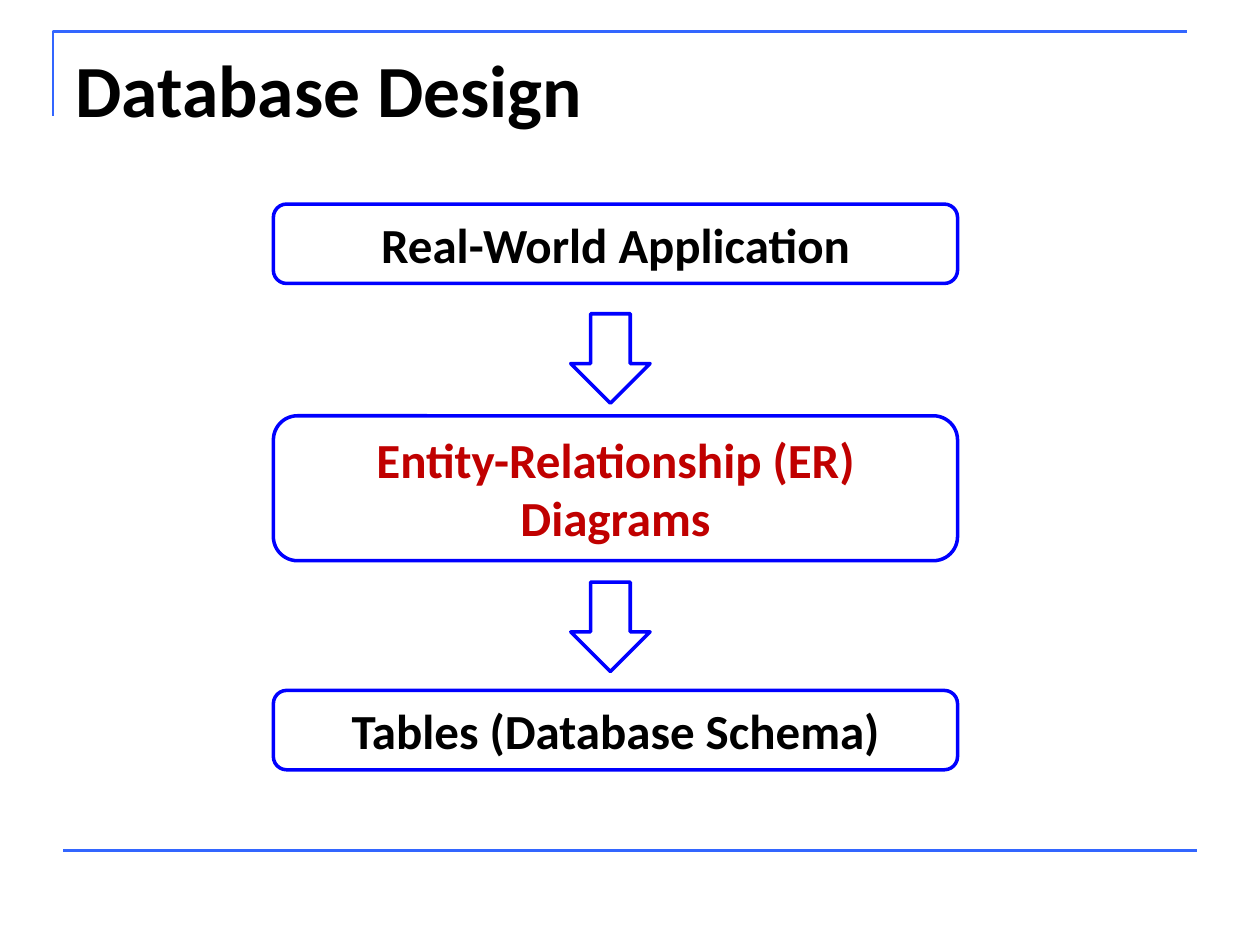
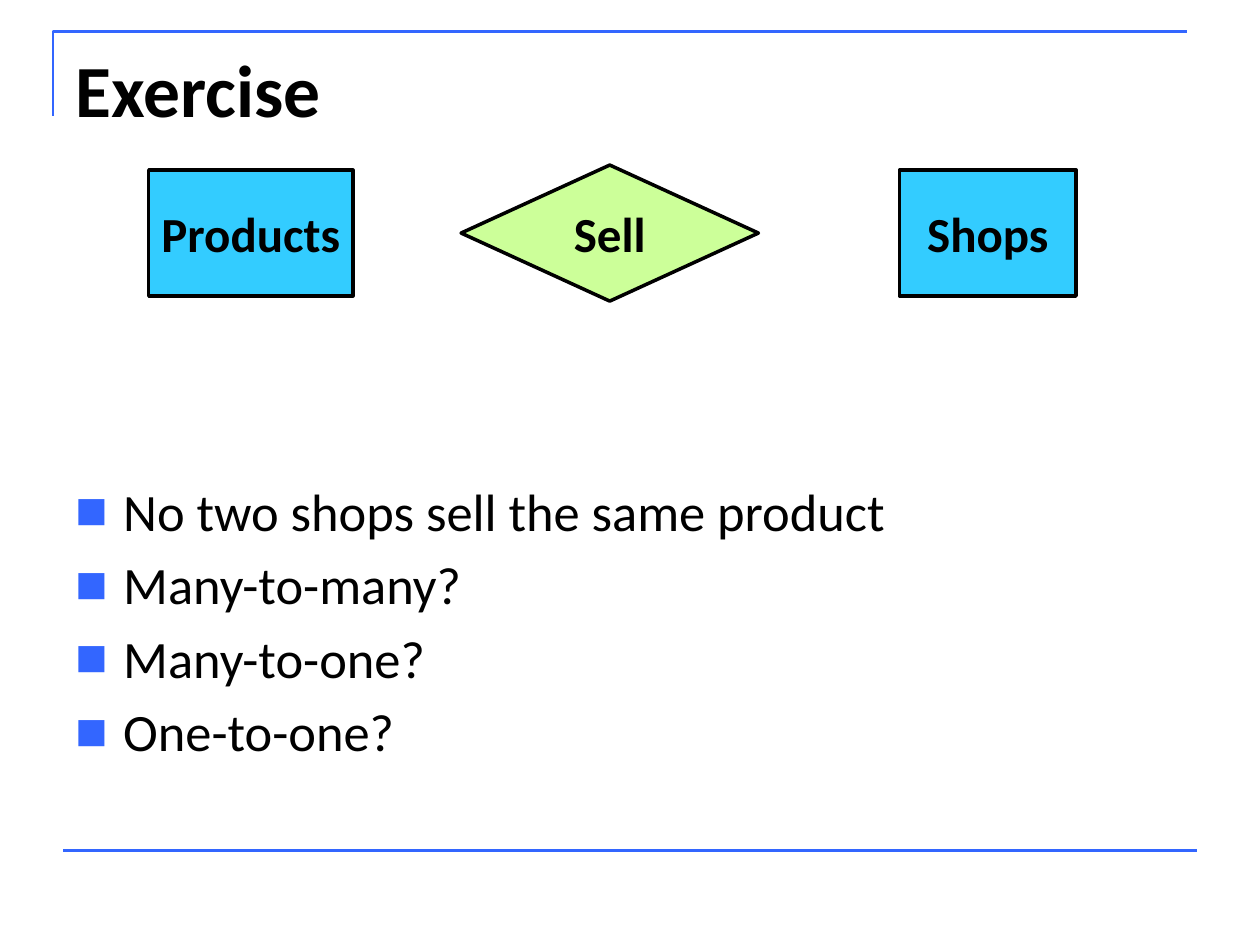
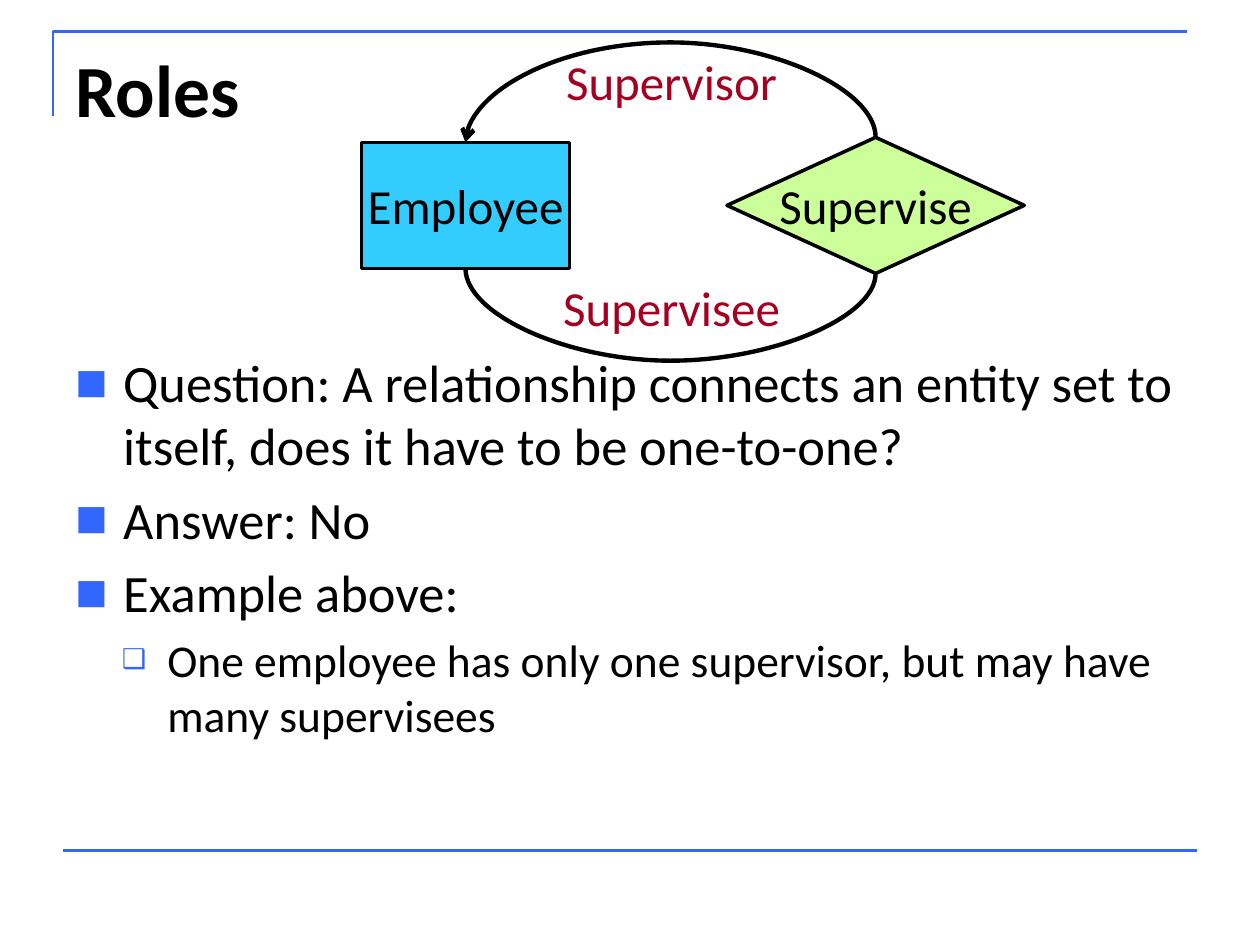
import dataclasses

import lxml.etree
import pptx
import pptx.dml.color
import pptx.enum.shapes
import pptx.enum.text
import pptx.oxml.ns
import pptx.util

Inches = pptx.util.Inches
Pt = pptx.util.Pt
qn = pptx.oxml.ns.qn
Shape = pptx.enum.shapes.MSO_SHAPE
Connector = pptx.enum.shapes.MSO_CONNECTOR
Align = pptx.enum.text.PP_ALIGN
Anchor = pptx.enum.text.MSO_ANCHOR


@dataclasses.dataclass(frozen=True)
class Theme:
    font: str = "Calibri"
    ink: str = "000000"
    paper: str = "FFFFFF"
    frame: str = "3366FF"
    flow_line: str = "0000FF"
    highlight: str = "C00000"
    entity: str = "33CCFF"
    relationship: str = "CCFF99"
    role: str = "A50021"
    title_size: int = 42
    diagram_size: int = 28
    frame_width: float = 1.5
    shape_width: float = 2
    role_width: float = 2.5


@dataclasses.dataclass(frozen=True)
class Box:
    left: float
    top: float
    width: float
    height: float

    def inside(self, left, top, width, height):
        return Box(self.left + left, self.top + top, width, height)

    def lengths(self):
        return [Inches(value) for value in dataclasses.astuple(self)]


@dataclasses.dataclass(frozen=True)
class BulletLevel:
    symbol: str
    symbol_percent: int
    indent: float
    hanging: float
    size: int
    space_before: float


THEME = Theme()
LEVELS = (
    BulletLevel("■", 65, 0.38, 0.38, 30, 6),
    BulletLevel("❑", 60, 0.73, 0.36, 26, 5.2),
)
TITLE_BOX = Box(0.5, 0.3, 9, 1.25)
FRAME_BOX = Box(0.42, 0.25, 9.08, 6.5)
DIAMOND_SIZE = (2.36, 1.08)


def color(value):
    return pptx.dml.color.RGBColor.from_string(value)


def add_run(paragraph, text, size, ink=THEME.ink, bold=False):
    run = paragraph.add_run()
    run.text = text
    run.font.name = THEME.font
    run.font.size = Pt(size)
    run.font.bold = bold
    run.font.color.rgb = color(ink)


def style_line(shape, ink, width):
    shape.line.color.rgb = color(ink)
    shape.line.width = Pt(width)


def remove_connector_shadow(connector):
    lxml.etree.SubElement(connector._element.spPr, qn("a:effectLst"))


def add_figure(slide, kind, box, fill, line):
    """Add an outlined preset shape; a fill of None leaves it hollow."""
    shape = slide.shapes.add_shape(kind, *box.lengths())
    shape.shadow.inherit = False
    if fill:
        shape.fill.solid()
        shape.fill.fore_color.rgb = color(fill)
    else:
        shape.fill.background()
    style_line(shape, line, THEME.shape_width)
    return shape


def write_centered(shape, text, ink=THEME.ink, bold=False, wrap=False, anchor=Anchor.MIDDLE):
    frame = shape.text_frame
    frame.word_wrap = wrap
    frame.vertical_anchor = anchor
    paragraph = frame.paragraphs[0]
    paragraph.alignment = Align.CENTER
    add_run(paragraph, text, THEME.diagram_size, ink, bold)


def add_titled_slide(presentation, layout, title):
    slide = presentation.slides.add_slide(layout)
    shape = slide.shapes.title
    shape.left, shape.top, shape.width, shape.height = TITLE_BOX.lengths()
    frame = shape.text_frame
    frame.auto_size = pptx.enum.text.MSO_AUTO_SIZE.NONE
    frame.vertical_anchor = Anchor.TOP
    paragraph = frame.paragraphs[0]
    paragraph.alignment = Align.LEFT
    add_run(paragraph, title, THEME.title_size, bold=True)
    return slide


def move_frame_to_layout(slide, layout, box):
    """Draw the corner and base rule on a slide, then hand them to its layout."""
    left, top, width, height = box.lengths()
    rule_length = Inches(9)
    builder = slide.shapes.build_freeform(left, top + Inches(0.67))
    builder.add_line_segments([(left, top), (left + rule_length, top)], close=False)
    corner = builder.convert_to_shape()
    corner.shadow.inherit = False
    corner.fill.background()
    right, bottom = left + width, top + height
    base = slide.shapes.add_connector(
        Connector.STRAIGHT, right - rule_length, bottom, right, bottom)
    remove_connector_shadow(base)
    for shape in (corner, base):
        style_line(shape, THEME.frame, THEME.frame_width)
        layout.shapes._spTree.append(shape._element)


def set_bullet(paragraph, level):
    properties = paragraph._p.get_or_add_pPr()
    properties.set("marL", str(Inches(level.indent)))
    properties.set("indent", str(-Inches(level.hanging)))
    bullet_color = lxml.etree.SubElement(properties, qn("a:buClr"))
    lxml.etree.SubElement(bullet_color, qn("a:srgbClr"), val=THEME.frame)
    lxml.etree.SubElement(properties, qn("a:buSzPct"), val=str(level.symbol_percent * 1000))
    lxml.etree.SubElement(properties, qn("a:buFont"), typeface=THEME.font)
    lxml.etree.SubElement(properties, qn("a:buChar"), char=level.symbol)


def add_bullets(slide, box, items):
    """Write (level, text) items as a bulleted list."""
    frame = slide.shapes.add_textbox(*box.lengths()).text_frame
    frame.word_wrap = True
    for index, (depth, text) in enumerate(items):
        level = LEVELS[depth]
        paragraph = frame.add_paragraph() if index else frame.paragraphs[0]
        paragraph.level = depth
        set_bullet(paragraph, level)
        if index:
            paragraph.space_before = Pt(level.space_before)
        add_run(paragraph, text, level.size)


def add_entity(slide, box, name, bold=False):
    shape = add_figure(slide, Shape.RECTANGLE, box, THEME.entity, THEME.ink)
    write_centered(shape, name, bold=bold)
    return shape


def add_relationship(slide, box, name, bold=False):
    shape = add_figure(slide, Shape.DIAMOND, box, THEME.relationship, THEME.ink)
    write_centered(shape, name, bold=bold)
    return shape


def add_role_curve(slide, relationship, entity, reach, above):
    """Arch from the relationship to the entity, passing above or below both."""
    site = 0 if above else 2
    connector = slide.shapes.add_connector(Connector.CURVE, 0, 0, 0, 0)
    connector.begin_connect(relationship, site)
    connector.end_connect(entity, site)
    start_x, start_y = connector.begin_x, connector.begin_y
    end_x, end_y = connector.end_x, connector.end_y
    span, drop = start_x - end_x, abs(start_y - end_y)

    # The connector is stored turned by a quarter, so its width is the drop.
    connector.width, connector.height = drop, span
    connector.left = (start_x + end_x - drop) // 2
    connector.top = (start_y + end_y - span) // 2
    properties = connector._element.spPr
    transform = properties.find(qn("a:xfrm"))
    transform.set("rot", str((270 if above else 90) * 60000))
    transform.set("flipH", "1")
    transform.set("flipV", "1" if above else "0")
    geometry = properties.find(qn("a:prstGeom"))
    adjustments = geometry.find(qn("a:avLst"))
    if adjustments is None:
        adjustments = lxml.etree.SubElement(geometry, qn("a:avLst"))
    ratio = round(-Inches(reach) / drop * 100000)
    lxml.etree.SubElement(adjustments, qn("a:gd"), name="adj1", fmla=f"val {ratio}")

    style_line(connector, THEME.ink, THEME.role_width)
    if above:
        lxml.etree.SubElement(connector.line._get_or_add_ln(), qn("a:tailEnd"), type="arrow")
    remove_connector_shadow(connector)


def add_role_label(slide, box, text):
    shape = slide.shapes.add_textbox(*box.lengths())
    write_centered(shape, text, THEME.role, anchor=Anchor.TOP)


def draw_design_flow(slide, box):
    steps = (
        ("Real-World Application", 0, 0.63, THEME.ink),
        ("Entity-Relationship (ER) Diagrams", 1.68, 1.15, THEME.highlight),
        ("Tables (Database Schema)", 3.86, 0.63, THEME.ink),
    )
    for text, top, height, ink in steps:
        step = add_figure(slide, Shape.ROUNDED_RECTANGLE,
                          box.inside(0, top, box.width, height), THEME.paper, THEME.flow_line)
        write_centered(step, text, ink, bold=True, wrap=True, anchor=Anchor.TOP)
    for top in (0.87, 3):
        add_figure(slide, Shape.DOWN_ARROW, box.inside(2.36, top, 0.63, 0.71),
                   None, THEME.flow_line)


def draw_sales_entities(slide, box):
    add_entity(slide, box.inside(5.96, 0.04, 1.4, 1), "Shops", bold=True)
    add_entity(slide, box.inside(0, 0.04, 1.62, 1), "Products", bold=True)
    add_relationship(slide, box.inside(2.48, 0, *DIAMOND_SIZE), "Sell", bold=True)


def draw_supervision_roles(slide, box):
    employee = add_entity(slide, box.inside(0, 0.79, 1.65, 1), "Employee")
    supervise = add_relationship(slide, box.inside(2.9, 0.75, *DIAMOND_SIZE), "Supervise")
    add_role_curve(slide, supervise, employee, reach=0.75, above=True)
    add_role_curve(slide, supervise, employee, reach=0.69, above=False)
    add_role_label(slide, box.inside(1.51, 0.02, 1.9, 0.57), "Supervisor")
    add_role_label(slide, box.inside(1.49, 1.81, 1.94, 0.57), "Supervisee")


def main():
    presentation = pptx.Presentation()
    presentation.slide_width = Inches(10)
    presentation.slide_height = Inches(7.5)
    layout = presentation.slide_layouts.get_by_name("Title Only")

    design = add_titled_slide(presentation, layout, "Database Design")
    move_frame_to_layout(design, layout, FRAME_BOX)
    draw_design_flow(design, Box(2.17, 1.62, 5.43, 4.49))

    exercise = add_titled_slide(presentation, layout, "Exercise")
    add_bullets(exercise, Box(0.5, 3.75, 9, 2.95), (
        (0, "No two shops sell the same product"),
        (0, "Many-to-many?"),
        (0, "Many-to-one?"),
        (0, "One-to-one?"),
    ))
    draw_sales_entities(exercise, Box(1.18, 1.31, 7.36, 1.08))

    roles = add_titled_slide(presentation, layout, "Roles")
    add_bullets(roles, Box(0.5, 2.73, 9, 3.94), (
        (0, "Question: A relationship connects an entity set to itself, "
            "does it have to be one-to-one?"),
        (0, "Answer: No"),
        (0, "Example above:"),
        (1, "One employee has only one supervisor, but may have many supervisees"),
    ))
    draw_supervision_roles(roles, Box(2.87, 0.34, 5.26, 2.52))

    presentation.save("out.pptx")


if __name__ == "__main__":
    main()
